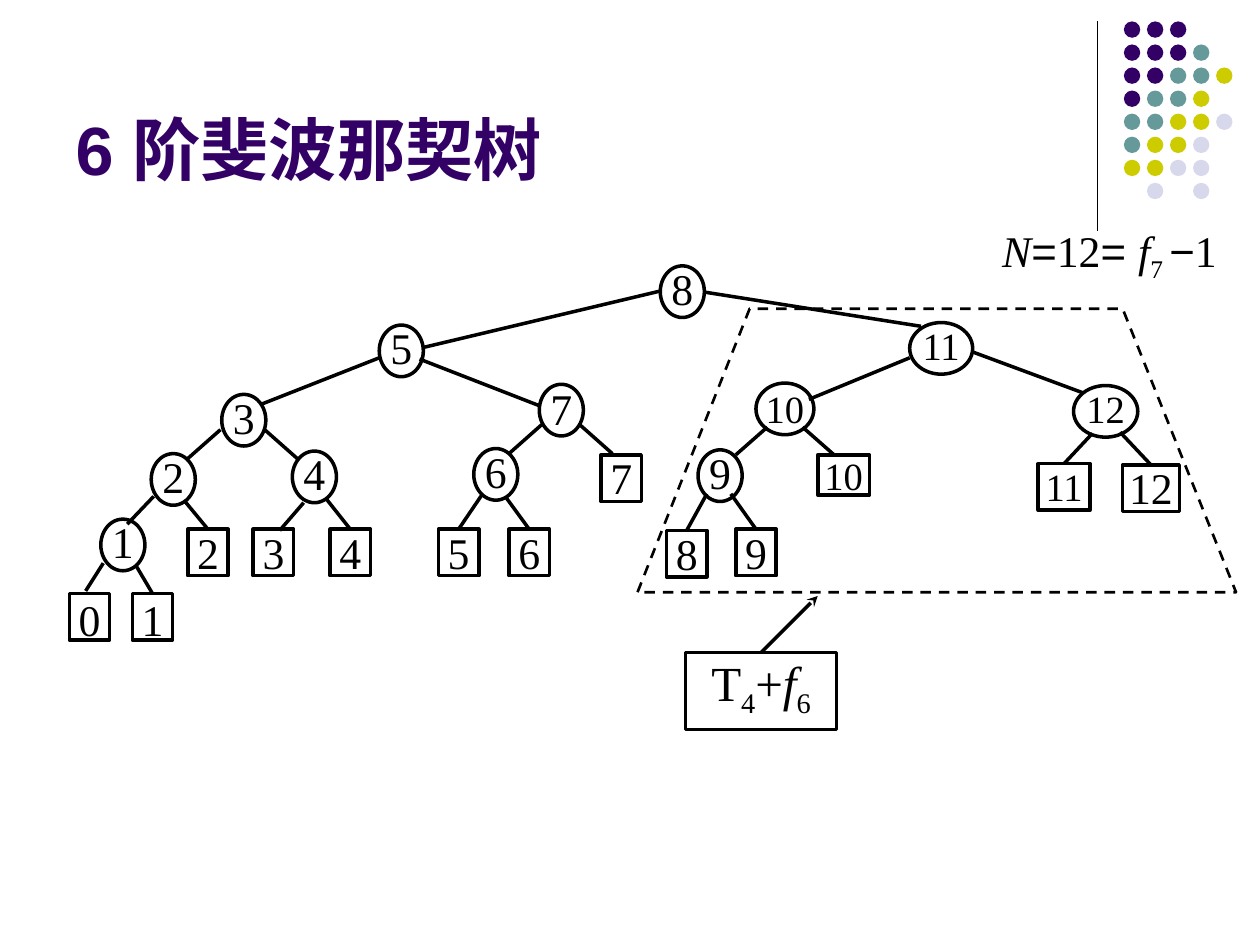
from dataclasses import dataclass

from lxml import etree
from pptx import Presentation
from pptx.dml.color import RGBColor
from pptx.enum.dml import MSO_LINE
from pptx.enum.shapes import MSO_CONNECTOR, MSO_SHAPE
from pptx.enum.text import MSO_ANCHOR, PP_ALIGN
from pptx.oxml.ns import qn
from pptx.util import Inches, Pt

OVAL, RECTANGLE = MSO_SHAPE.OVAL, MSO_SHAPE.RECTANGLE
STRAIGHT = MSO_CONNECTOR.STRAIGHT
DASH = MSO_LINE.DASH
MIDDLE, TOP, BOTTOM = MSO_ANCHOR.MIDDLE, MSO_ANCHOR.TOP, MSO_ANCHOR.BOTTOM
CENTER, LEFT = PP_ALIGN.CENTER, PP_ALIGN.LEFT
TOP_SIDE = 0

COLORS = {"ink": "000000", "purple": "330066", "teal": "669999",
          "yellow": "CCCC00", "lavender": "D8D8EC"}
SERIF, SANS = "Times New Roman", "Arial"

DOT_COLORS = {"P": "purple", "T": "teal", "Y": "yellow", "L": "lavender"}
DOT_ROWS = ["PPP", "PPPT", "PPTTY", "PTTY", "TTYYL", "TYYL", "YYLL", " L L"]
DOT_LEFT, DOT_TOP, DOT_PITCH, DOT_SIZE = 8.92, 0.17, 0.183, 0.13


@dataclass
class Node:
    label: str
    left: float
    top: float
    width: float = 0.35
    height: float = 0.41
    size: float = 25
    line_spacing: float = 0.72
    before: float = 15.6
    after: float = 4.6


@dataclass
class Leaf(Node):
    width: float = 0.32
    height: float = 0.37
    line_spacing: float = 0.9
    before: float = 0
    after: float = 0


@dataclass
class Edge:
    """A branch; when leaf is given, it ends at the top of that leaf."""
    x1: float
    y1: float
    x2: float
    y2: float
    leaf: str = ""


@dataclass
class Span:
    text: str
    font: str = SERIF
    italic: bool = False
    subscript: bool = False


NODES = [
    Node("8", 5.24, 2.11, before=1.5),
    Node("5", 3.01, 2.58),
    Node("11", 7.22, 2.56, 0.5, size=22, before=1.5),
    Node("3", 1.76, 3.13),
    Node("7", 4.28, 3.05, line_spacing=0.8),
    Node("10", 6.0, 3.04, 0.46, size=22, line_spacing=0.9, before=0, after=0),
    Node("12", 8.52, 3.06, 0.51, size=22, before=1.5),
    Node("2", 1.2, 3.6),
    Node("4", 2.32, 3.58),
    Node("6", 3.76, 3.56),
    Node("9", 5.54, 3.57),
    Node("1", 0.8, 4.12),
]
LEAVES = [
    Leaf("0", 0.55, 4.71, line_spacing=1),
    Leaf("1", 1.05, 4.71, line_spacing=1),
    Leaf("2", 1.49, 4.2),
    Leaf("3", 2.01, 4.2),
    Leaf("4", 2.62, 4.2),
    Leaf("5", 3.48, 4.2),
    Leaf("6", 4.04, 4.2),
    Leaf("7", 4.77, 3.61),
    Leaf("8", 5.29, 4.21),
    Leaf("9", 5.84, 4.2),
    Leaf("10", 6.49, 3.61, 0.41, 0.32, size=22),
    Leaf("11", 8.24, 3.68, 0.41, size=22),
    Leaf("12", 8.91, 3.69, 0.45),
]
EDGES = [
    Edge(5.24, 2.31, 3.35, 2.76), Edge(5.6, 2.32, 7.31, 2.59),
    Edge(3.01, 2.84, 2.07, 3.21), Edge(3.33, 2.85, 4.28, 3.22),
    Edge(7.22, 2.84, 6.42, 3.17), Edge(7.71, 2.79, 8.6, 3.12),
    Edge(1.75, 3.41, 1.49, 3.64), Edge(2.1, 3.41, 2.36, 3.64),
    Edge(4.3, 3.37, 4.04, 3.6), Edge(4.6, 3.37, 4.86, 3.6),
    Edge(6.09, 3.39, 5.84, 3.61), Edge(6.37, 3.39, 6.62, 3.61),
    Edge(8.67, 3.44, 8.43, 3.69, "11"), Edge(8.89, 3.43, 9.11, 3.7, "12"),
    Edge(1.22, 3.94, 1.01, 4.16), Edge(1.46, 3.97, 1.65, 4.19, "2"),
    Edge(2.41, 3.99, 2.22, 4.21), Edge(2.59, 3.96, 2.78, 4.18, "4"),
    Edge(3.83, 3.92, 3.66, 4.19, "5"), Edge(4.01, 3.94, 4.19, 4.21, "6"),
    Edge(5.61, 3.92, 5.46, 4.2, "8"), Edge(5.8, 3.92, 5.99, 4.2, "9"),
    Edge(0.82, 4.47, 0.68, 4.69), Edge(1.08, 4.49, 1.22, 4.71, "1"),
]
SIZE_FORMULA = [Span("N", italic=True), Span("=", SANS), Span("12"),
                Span("= ", SANS), Span("f", italic=True),
                Span("7 ", subscript=True), Span("−", SANS), Span("1")]
SUBTREE_FORMULA = [Span("T"), Span("4", subscript=True), Span("+"),
                   Span("f", italic=True), Span("6", subscript=True)]
SUBTREE_OUTLINE = [(5.06, 4.7), (5.95, 2.45), (8.91, 2.45), (9.81, 4.7)]


def color(name: str) -> RGBColor:
    return RGBColor.from_string(COLORS[name])


def set_outline(shape, width: float) -> None:
    shape.shadow.inherit = False
    shape.fill.background()
    shape.line.color.rgb = color("ink")
    shape.line.width = Pt(width)


def set_margins(frame, top: float = 0, bottom: float = 0) -> None:
    frame.margin_left = frame.margin_right = 0
    frame.margin_top, frame.margin_bottom = Inches(top), Inches(bottom)


def style_font(font, name: str, size: float, ink: str = "ink") -> None:
    font.name, font.size = name, Pt(size)
    font.color.rgb = color(ink)


def draw_node(page, node: Node, kind):
    shape = page.shapes.add_shape(kind, Inches(node.left), Inches(node.top),
                                  Inches(node.width), Inches(node.height))
    set_outline(shape, 2)
    frame = shape.text_frame
    set_margins(frame, top=0.04)
    frame.vertical_anchor = MIDDLE
    frame.text = node.label
    para = frame.paragraphs[0]
    para.alignment = CENTER
    para.line_spacing = node.line_spacing
    para.space_before, para.space_after = Pt(node.before), Pt(node.after)
    style_font(para.runs[0].font, SERIF, node.size)
    return shape


def draw_line(page, edge: Edge, width: float = 2):
    line = page.shapes.add_connector(
        STRAIGHT, Inches(edge.x1), Inches(edge.y1), Inches(edge.x2), Inches(edge.y2))
    line.line.color.rgb = color("ink")
    line.line.width = Pt(width)
    etree.SubElement(line._element.spPr, qn("a:effectLst"))
    return line


def write_formula(para, spans: list[Span], size: float) -> None:
    para.alignment = CENTER
    for span in spans:
        run = para.add_run()
        run.text = span.text
        style_font(run.font, span.font, size)
        run.font.italic = span.italic
        if span.subscript:
            run.font._element.set("baseline", "-25000")


def draw_dots(page) -> None:
    for row, letters in enumerate(DOT_ROWS):
        for column, letter in enumerate(letters):
            if letter in DOT_COLORS:
                dot = page.shapes.add_shape(
                    OVAL, Inches(DOT_LEFT + column * DOT_PITCH),
                    Inches(DOT_TOP + row * DOT_PITCH), Inches(DOT_SIZE), Inches(DOT_SIZE))
                dot.shadow.inherit = False
                dot.fill.solid()
                dot.fill.fore_color.rgb = color(DOT_COLORS[letter])
                dot.line.fill.background()


def draw_title(page) -> None:
    title = page.shapes.title
    title.left, title.top = Inches(0.5), Inches(0.13)
    title.width, title.height = Inches(8.25), Inches(1.42)
    title.text_frame.text = "6 阶斐波那契树"
    title.text_frame.vertical_anchor = BOTTOM
    para = title.text_frame.paragraphs[0]
    para.alignment = LEFT
    style_font(para.runs[0].font, SANS, 39, "purple")
    para.runs[0].font.bold = True


def draw_tree(page) -> None:
    for node in NODES:
        draw_node(page, node, OVAL)
    leaves = {leaf.label: draw_node(page, leaf, RECTANGLE) for leaf in LEAVES}
    for edge in EDGES:
        line = draw_line(page, edge)
        if edge.leaf:
            line.end_connect(leaves[edge.leaf], TOP_SIDE)


def draw_size_formula(page) -> None:
    box = page.shapes.add_textbox(Inches(7.85), Inches(1.9), Inches(1.91), Inches(0.35))
    box.text_frame.word_wrap = True
    set_margins(box.text_frame)
    para = box.text_frame.paragraphs[0]
    para.line_spacing = Pt(25)
    write_formula(para, SIZE_FORMULA, 25)


def draw_subtree_callout(page) -> None:
    points = [(Inches(x), Inches(y)) for x, y in SUBTREE_OUTLINE]
    builder = page.shapes.build_freeform(*points[0])
    builder.add_line_segments(points[1:], close=True)
    outline = builder.convert_to_shape()
    set_outline(outline, 1.5)
    outline.line.dash_style = DASH

    box = page.shapes.add_shape(RECTANGLE, Inches(5.44), Inches(5.18),
                                Inches(1.2), Inches(0.61))
    set_outline(box, 1.75)
    set_margins(box.text_frame, bottom=0.08)
    box.text_frame.vertical_anchor = TOP
    para = box.text_frame.paragraphs[0]
    para.space_after = Pt(12.2)
    write_formula(para, SUBTREE_FORMULA, 28)

    arrow = draw_line(page, Edge(6.04, 5.18, 6.49, 4.73))
    arrow.begin_connect(box, TOP_SIDE)
    etree.SubElement(arrow.line._get_or_add_ln(), qn("a:tailEnd"), type="stealth")


def main() -> None:
    deck = Presentation()
    deck.slide_width, deck.slide_height = Inches(10), Inches(7.5)
    page = deck.slides.add_slide(deck.slide_layouts[5])
    draw_line(page, Edge(8.71, 0.17, 8.71, 1.83), 0.75)
    draw_dots(page)
    draw_title(page)
    draw_tree(page)
    draw_size_formula(page)
    draw_subtree_callout(page)
    deck.save("out.pptx")


if __name__ == "__main__":
    main()
